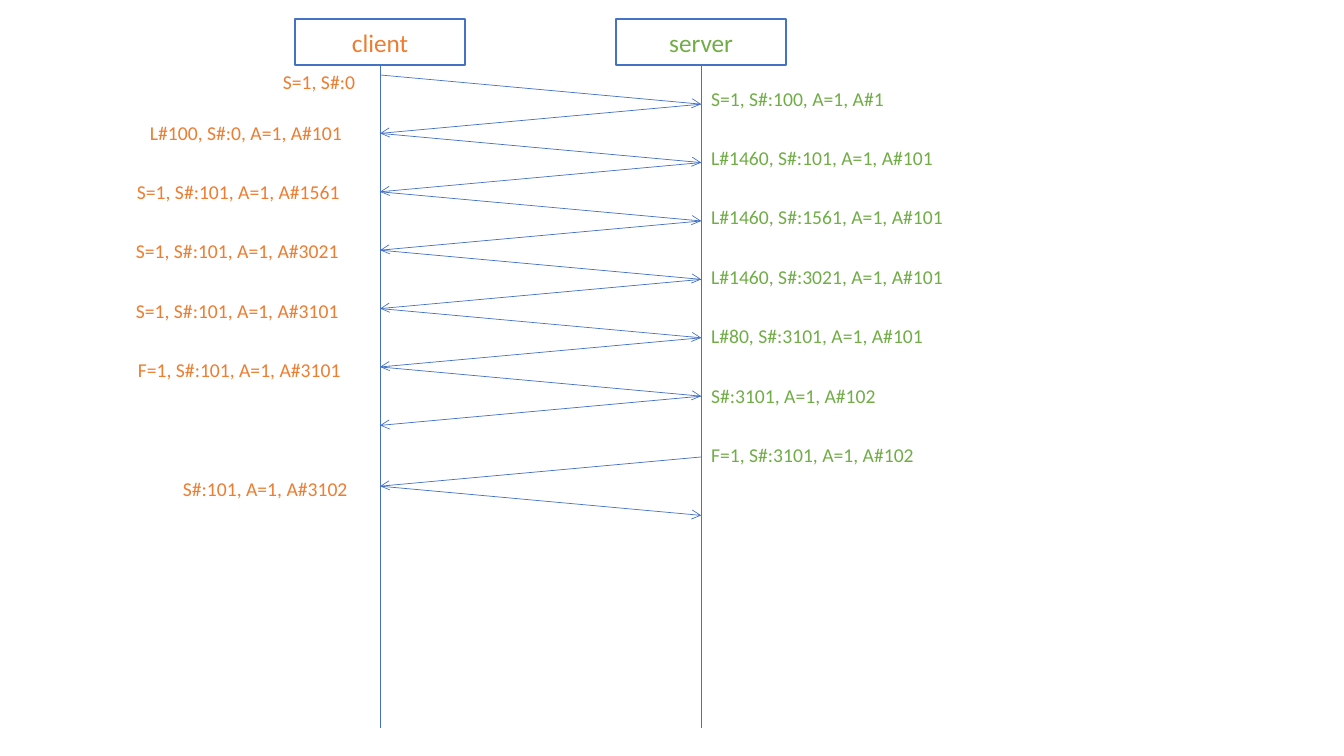
from lxml.etree import SubElement
from pptx import Presentation
from pptx.dml.color import RGBColor
from pptx.enum.shapes import MSO_CONNECTOR, MSO_SHAPE
from pptx.enum.text import MSO_ANCHOR, MSO_AUTO_SIZE, PP_ALIGN
from pptx.oxml.ns import qn
from pptx.util import Emu, Inches, Pt

BLUE = RGBColor(0x44, 0x72, 0xC4)
ORANGE = RGBColor(0xED, 0x7D, 0x31)
GREEN = RGBColor(0x70, 0xAD, 0x47)
WHITE = RGBColor(0xFF, 0xFF, 0xFF)

CLIENT_X, SERVER_X = 380, 701
HEADER_TOP, HEADER_WIDTH, HEADER_HEIGHT = 19, 170, 46
LIFELINE_BOTTOM = 728
LABEL_HEIGHT = 34
MESSAGE_DROP = 29.2

HEADERS = [("client", CLIENT_X, ORANGE), ("server", SERVER_X, GREEN)]

EXCHANGES = [
    (75, (CLIENT_X, SERVER_X), 12),
    (457, (SERVER_X, CLIENT_X), 2),
]

CLIENT_LABELS = [
    ("S=1, S#:0", 65, 107),
    ("L#100, S#:0, A=1, A#101", 116, 240),
    ("S=1, S#:101, A=1, A#1561", 175, 253),
    ("S=1, S#:101, A=1, A#3021", 234, 254),
    ("S=1, S#:101, A=1, A#3101", 294, 254),
    ("F=1, S#:101, A=1, A#3101", 353, 252),
    ("S#:101, A=1, A#3102", 472, 207),
]

SERVER_LABELS = [
    ("S=1, S#:100, A=1, A#1", 82, 220),
    ("L#1460, S#:101, A=1, A#101", 141, 272),
    ("L#1460, S#:1561, A=1, A#101", 200, 283),
    ("L#1460, S#:3021, A=1, A#101", 260, 283),
    ("L#80, S#:3101, A=1, A#101", 319, 261),
    ("S#:3101, A=1, A#102", 379, 207),
    ("F=1, S#:3101, A=1, A#102", 438, 251),
]


def px(length):
    return Emu(round(length * 914400 / 100.8))


def write(shape, text, size, color, alignment):
    paragraph = shape.text_frame.paragraphs[0]
    paragraph.text = text
    paragraph.alignment = alignment
    font = paragraph.runs[0].font
    font.name = "Calibri"
    font.size = Pt(size)
    font.color.rgb = color


def add_header(text, center, color):
    shape = slide.shapes.add_shape(
        MSO_SHAPE.RECTANGLE, px(center - HEADER_WIDTH / 2), px(HEADER_TOP),
        px(HEADER_WIDTH), px(HEADER_HEIGHT))
    shape.shadow.inherit = False
    shape.fill.solid()
    shape.fill.fore_color.rgb = WHITE
    shape.line.color.rgb = BLUE
    shape.line.width = Pt(1)
    shape.text_frame.vertical_anchor = MSO_ANCHOR.MIDDLE
    write(shape, text, 18, color, PP_ALIGN.CENTER)


def add_line(start_x, start_y, end_x, end_y, arrow=False):
    connector = slide.shapes.add_connector(
        MSO_CONNECTOR.STRAIGHT, px(start_x), px(start_y), px(end_x), px(end_y))
    connector.line.color.rgb = BLUE
    connector.line.width = Pt(0.5)
    if arrow:
        SubElement(connector.line._get_or_add_ln(), qn("a:tailEnd"), type="arrow")
    SubElement(connector._element.spPr, qn("a:effectLst"))


def add_label(text, left, top, width, color):
    box = slide.shapes.add_textbox(px(left), px(top), px(width), px(LABEL_HEIGHT))
    box.text_frame.word_wrap = False
    box.text_frame.auto_size = MSO_AUTO_SIZE.SHAPE_TO_FIT_TEXT
    write(box, text, 14, color, PP_ALIGN.LEFT)


presentation = Presentation()
presentation.slide_width = Inches(13.33)
presentation.slide_height = Inches(7.5)
slide = presentation.slides.add_slide(presentation.slide_layouts[6])

for text, center, color in HEADERS:
    add_header(text, center, color)
    add_line(center, HEADER_TOP + HEADER_HEIGHT, center, LIFELINE_BOTTOM)

for top, sides, count in EXCHANGES:
    for index in range(count):
        sender, receiver = sides[index % 2], sides[(index + 1) % 2]
        y = top + index * MESSAGE_DROP
        add_line(sender, y, receiver, y + MESSAGE_DROP, arrow=True)

for text, top, width in CLIENT_LABELS:
    add_label(text, CLIENT_X - width, top, width, ORANGE)

for text, top, width in SERVER_LABELS:
    add_label(text, SERVER_X, top, width, GREEN)

presentation.save("out.pptx")
